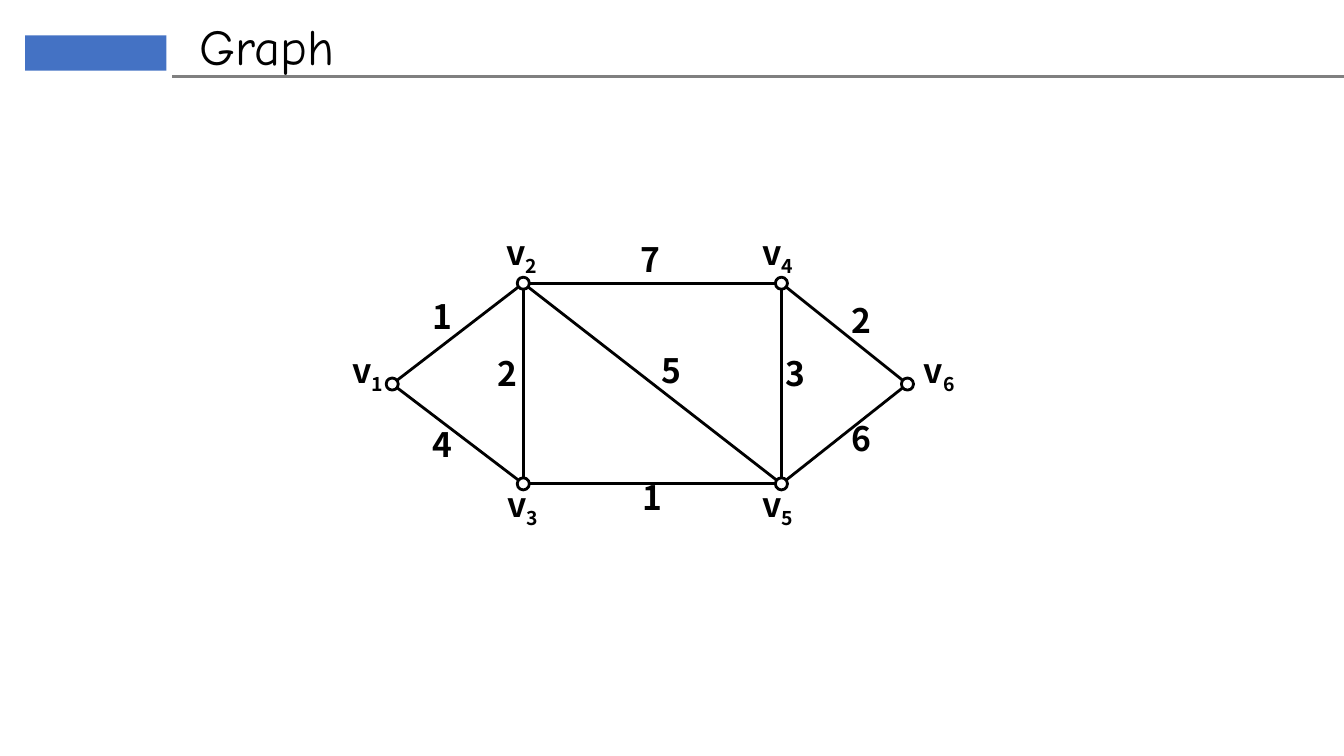
from math import hypot

from lxml import etree
from pptx import Presentation
from pptx.dml.color import RGBColor
from pptx.enum.shapes import MSO_CONNECTOR, MSO_SHAPE
from pptx.enum.text import MSO_ANCHOR, MSO_AUTO_SIZE, PP_ALIGN
from pptx.oxml.ns import qn
from pptx.util import Inches, Pt

STRAIGHT = MSO_CONNECTOR.STRAIGHT
OVAL, RECTANGLE = MSO_SHAPE.OVAL, MSO_SHAPE.RECTANGLE
TOP = MSO_ANCHOR.TOP
NO_FIT = MSO_AUTO_SIZE.NONE
LEFT, CENTER = PP_ALIGN.LEFT, PP_ALIGN.CENTER

BLACK, WHITE, GRAY, BLUE = "000000", "FFFFFF", "808080", "4472C4"
LABEL_FONT = "Noto Sans CJK SC"
RADIUS = 0.06

presentation = Presentation()
presentation.slide_width = Inches(13.33)
presentation.slide_height = Inches(7.5)
slide = presentation.slides.add_slide(presentation.slide_layouts[5])


def add_line(x1, y1, x2, y2, color):
    line = slide.shapes.add_connector(
        STRAIGHT, Inches(x1), Inches(y1), Inches(x2), Inches(y2))
    line.line.color.rgb = RGBColor.from_string(color)
    line.line.width = Pt(2)
    etree.SubElement(line._element.spPr, qn("a:effectLst"))


def write(shape, texts, size, font_name, bold, alignment):
    """Fill the shape with one run per text; a second run is a subscript."""
    text_frame = shape.text_frame
    text_frame.word_wrap = True
    text_frame.auto_size = NO_FIT
    text_frame.vertical_anchor = TOP
    paragraph = text_frame.paragraphs[0]
    paragraph.alignment = alignment
    for index, text in enumerate(texts):
        run = paragraph.add_run()
        run.text = text
        run.font.size = Pt(size)
        run.font.name = font_name
        run.font.bold = bold
        run.font.color.rgb = RGBColor.from_string(BLACK)
        if index == 1:
            run.font._element.set("baseline", "-25000")


# Header
header_block = slide.shapes.add_shape(
    RECTANGLE, Inches(0.25), Inches(0.35), Inches(1.4), Inches(0.35))
header_block.shadow.inherit = False
header_block.fill.solid()
header_block.fill.fore_color.rgb = RGBColor.from_string(BLUE)
header_block.line.fill.background()
add_line(1.71, 0.76, 13.33, 0.76, GRAY)

title = slide.shapes.title
title.left, title.top = Inches(1.88), Inches(0.1)
title.width, title.height = Inches(8.62), Inches(0.71)
write(title, ["Graph"], 36, "Comic Neue", False, LEFT)

# Vertex number: centre of the circle, top left of the label
vertices = {
    1: (3.89, 3.81, 3.41, 3.47),
    2: (5.19, 2.81, 4.94, 2.3),
    3: (5.19, 4.8, 4.95, 4.8),
    4: (7.75, 2.81, 7.48, 2.3),
    5: (7.75, 4.8, 7.48, 4.8),
    6: (9, 3.81, 9.08, 3.47),
}

# Start vertex, end vertex, weight, top left of the weight
edges = [
    (1, 2, "1", 4.27, 2.94),
    (1, 3, "4", 4.27, 4.21),
    (2, 3, "2", 4.91, 3.5),
    (2, 4, "7", 6.33, 2.37),
    (2, 5, "5", 6.54, 3.47),
    (3, 5, "1", 6.35, 4.73),
    (4, 5, "3", 7.77, 3.5),
    (4, 6, "2", 8.42, 2.98),
    (5, 6, "6", 8.42, 4.15),
]

# Edges run from rim to rim
for start, end, *_ in edges:
    x1, y1 = vertices[start][:2]
    x2, y2 = vertices[end][:2]
    length = hypot(x2 - x1, y2 - y1)
    dx, dy = RADIUS * (x2 - x1) / length, RADIUS * (y2 - y1) / length
    add_line(x1 + dx, y1 + dy, x2 - dx, y2 - dy, BLACK)

for x, y, *_ in vertices.values():
    circle = slide.shapes.add_shape(
        OVAL, Inches(x - RADIUS), Inches(y - RADIUS), Inches(2 * RADIUS), Inches(2 * RADIUS))
    circle.shadow.inherit = False
    circle.fill.solid()
    circle.fill.fore_color.rgb = RGBColor.from_string(WHITE)
    circle.line.color.rgb = RGBColor.from_string(BLACK)
    circle.line.width = Pt(2)

labels = [(["v", str(number)], left, top, 0.47)
          for number, (_, _, left, top) in vertices.items()]
labels += [([weight], left, top, 0.24) for _, _, weight, left, top in edges]
for texts, left, top, width in labels:
    label = slide.shapes.add_textbox(Inches(left), Inches(top), Inches(width), Inches(0.4))
    write(label, texts, 24, LABEL_FONT, True, CENTER)
    text_frame = label.text_frame
    text_frame.margin_left = text_frame.margin_right = 0
    text_frame.margin_top = text_frame.margin_bottom = 0

presentation.save("out.pptx")
